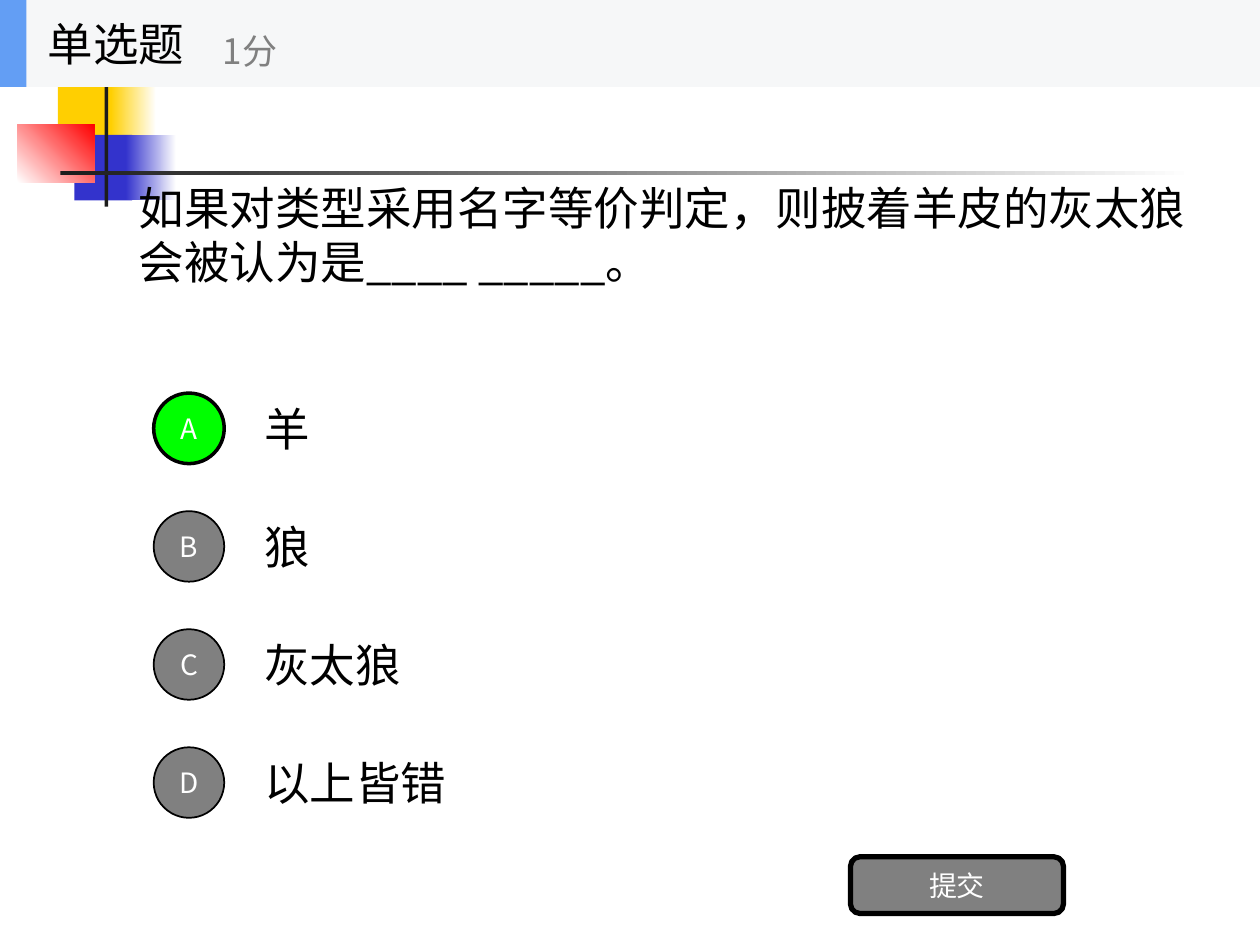
import pptx
import pptx.dml.color
import pptx.enum.shapes
import pptx.enum.text
import pptx.oxml.ns
import pptx.util
from lxml import etree

Inches = pptx.util.Inches
Pt = pptx.util.Pt
SHAPE = pptx.enum.shapes.MSO_SHAPE
ALIGN = pptx.enum.text.PP_ALIGN

FONT = "Noto Sans CJK SC"
COLORS = {
    "black": "000000", "white": "FFFFFF", "gray": "808080", "green": "00FF00",
    "yellow": "FFCF01", "blue": "3333CC", "red": "FF0000", "ink": "1C1C1C",
    "strip": "F6F7F8", "accent": "639EF4",
}
OPTIONS = ["羊", "狼", "灰太狼", "以上皆错"]
CORRECT = "A"
FIRST_TOP, OPTION_STEP = 3.05, 0.937
OPTION_HEIGHT, BADGE_SIZE = 0.7, 0.56


def rgb(name):
    return pptx.dml.color.RGBColor.from_string(COLORS[name])


def write(shape, text, size, color, align=ALIGN.LEFT, wrap=True):
    """Put one formatted, vertically centred paragraph into a shape."""
    frame = shape.text_frame
    frame_format = {
        "word_wrap": wrap,
        "auto_size": pptx.enum.text.MSO_AUTO_SIZE.NONE,
        "vertical_anchor": pptx.enum.text.MSO_ANCHOR.MIDDLE,
    }
    for name, value in frame_format.items():
        setattr(frame, name, value)
    paragraph = frame.paragraphs[0]
    paragraph.alignment = align
    run = paragraph.add_run()
    run.text = text
    for name, value in {"name": FONT, "size": Pt(size)}.items():
        setattr(run.font, name, value)
    run.font.color.rgb = rgb(color)
    # Chinese glyphs take their font from the East Asian slot
    east_asian = etree.SubElement(run._r.get_or_add_rPr(), pptx.oxml.ns.qn("a:ea"))
    east_asian.set("typeface", FONT)


def add_label(slide, box, text, size, color="black", wrap=True):
    label = slide.shapes.add_textbox(*map(Inches, box))
    write(label, text, size, color, wrap=wrap)


def add_block(slide, box, fill, fade_to=None, angle=0):
    """Borderless rectangle, solid or fading from one colour to another."""
    block = slide.shapes.add_shape(SHAPE.RECTANGLE, *map(Inches, box))
    block.shadow.inherit = False
    block.line.fill.background()
    if fade_to is None:
        block.fill.solid()
        block.fill.fore_color.rgb = rgb(fill)
        return
    block.fill.gradient()
    block.fill.gradient_angle = angle
    for stop, color in zip(block.fill.gradient_stops, (fill, fade_to)):
        stop.color.rgb = rgb(color)


def add_button(slide, kind, box, text, fill, line_width):
    button = slide.shapes.add_shape(kind, *map(Inches, box))
    button.shadow.inherit = False
    button.fill.solid()
    button.fill.fore_color.rgb = rgb(fill)
    button.line.color.rgb = rgb("black")
    button.line.width = Pt(line_width)
    write(button, text, 16, "white", ALIGN.CENTER, wrap=False)


def add_ornament(slide):
    add_block(slide, (0.46, 0.61, 0.48, 0.52), "yellow")
    add_block(slide, (0.88, 0.61, 0.36, 0.52), "yellow", "white")
    add_block(slide, (0.59, 1.07, 0.46, 0.52), "blue")
    add_block(slide, (1, 1.07, 0.4, 0.52), "blue", "white")
    add_block(slide, (0.14, 0.99, 0.61, 0.46), "white", "red", angle=45)
    add_block(slide, (0.83, 0.49, 0.03, 1.15), "ink")
    add_block(slide, (0.48, 1.36, 9, 0.03), "ink", "white")


def add_question(slide, text):
    question = slide.shapes.title
    place = {"left": 1, "top": 0.69, "width": 8.72, "height": 2.34}
    for name, value in place.items():
        setattr(question, name, Inches(value))
    write(question, text, 26, "black")
    # Bring the question in front of the ornament
    question.element.getparent().append(question.element)


def add_option(slide, index, text):
    letter = "ABCD"[index]
    correct = letter == CORRECT
    top = FIRST_TOP + index * OPTION_STEP
    badge_top = top + (OPTION_HEIGHT - BADGE_SIZE) / 2
    add_label(slide, (2, top, 7, OPTION_HEIGHT), text, 26)
    add_button(slide, SHAPE.OVAL, (1.22, badge_top, BADGE_SIZE, BADGE_SIZE), letter,
               "green" if correct else "gray", 2 if correct else 1)


def add_header(slide):
    add_block(slide, (0, 0, 10, 0.69), "strip")
    add_block(slide, (0, 0, 0.21, 0.69), "accent")
    add_label(slide, (0.28, 0, 2.08, 0.69), "单选题", 26, wrap=False)
    add_label(slide, (1.67, 0.12, 2.5, 0.56), "1分", 20, "gray", wrap=False)


def main():
    deck = pptx.Presentation()
    deck.slide_width, deck.slide_height = Inches(10), Inches(7.5)
    slide = deck.slides.add_slide(deck.slide_layouts.get_by_name("Title Only"))

    # Background ornament and question
    add_ornament(slide)
    add_question(slide, "如果对类型采用名字等价判定，则披着羊皮的灰太狼会被认为是____ _____。")

    # Answers and submit button
    for index, text in enumerate(OPTIONS):
        add_option(slide, index, text)
    add_button(slide, SHAPE.ROUNDED_RECTANGLE, (6.75, 6.8, 1.69, 0.45), "提交", "gray", 3)

    # Header strip
    add_header(slide)
    deck.save("out.pptx")


if __name__ == "__main__":
    main()
